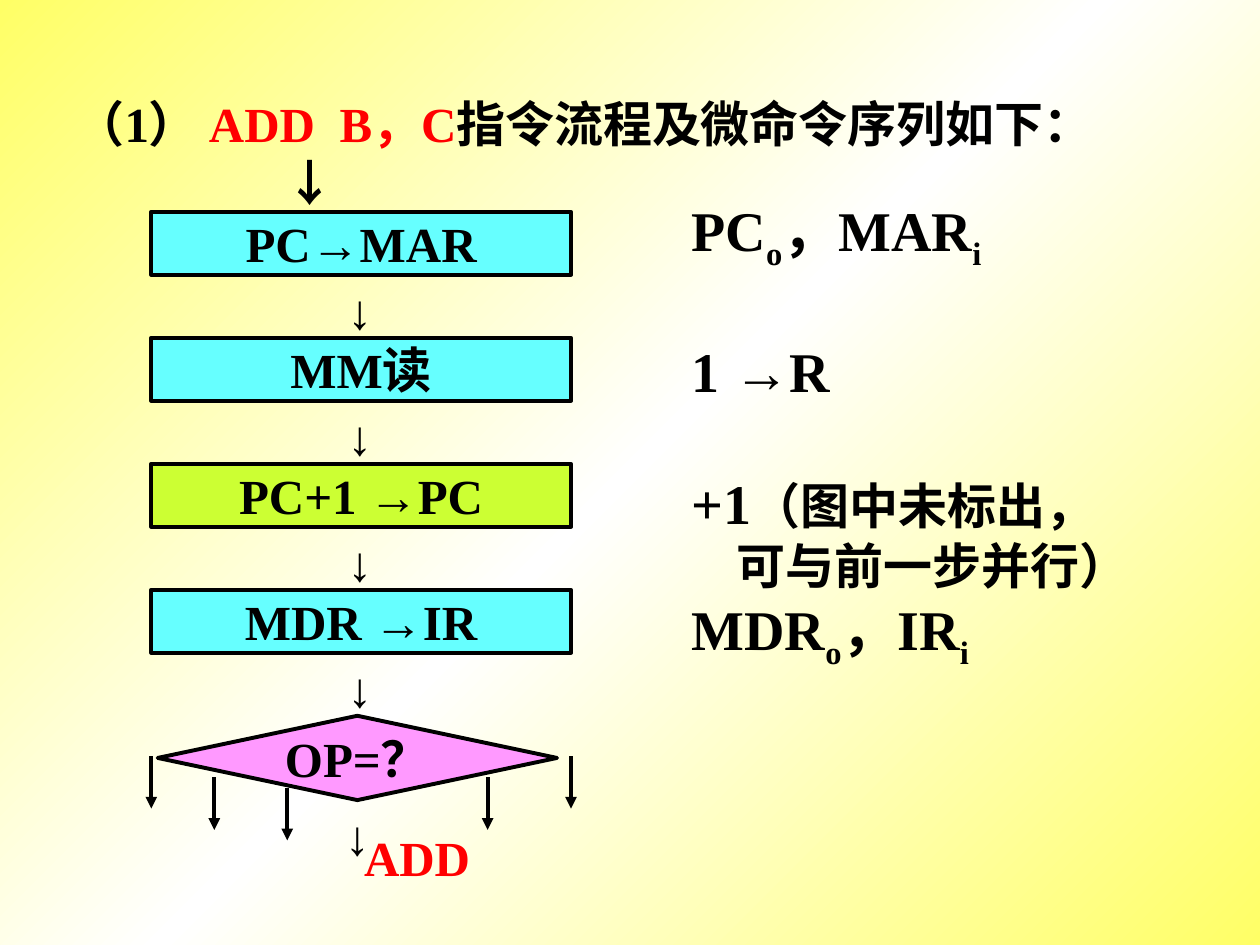
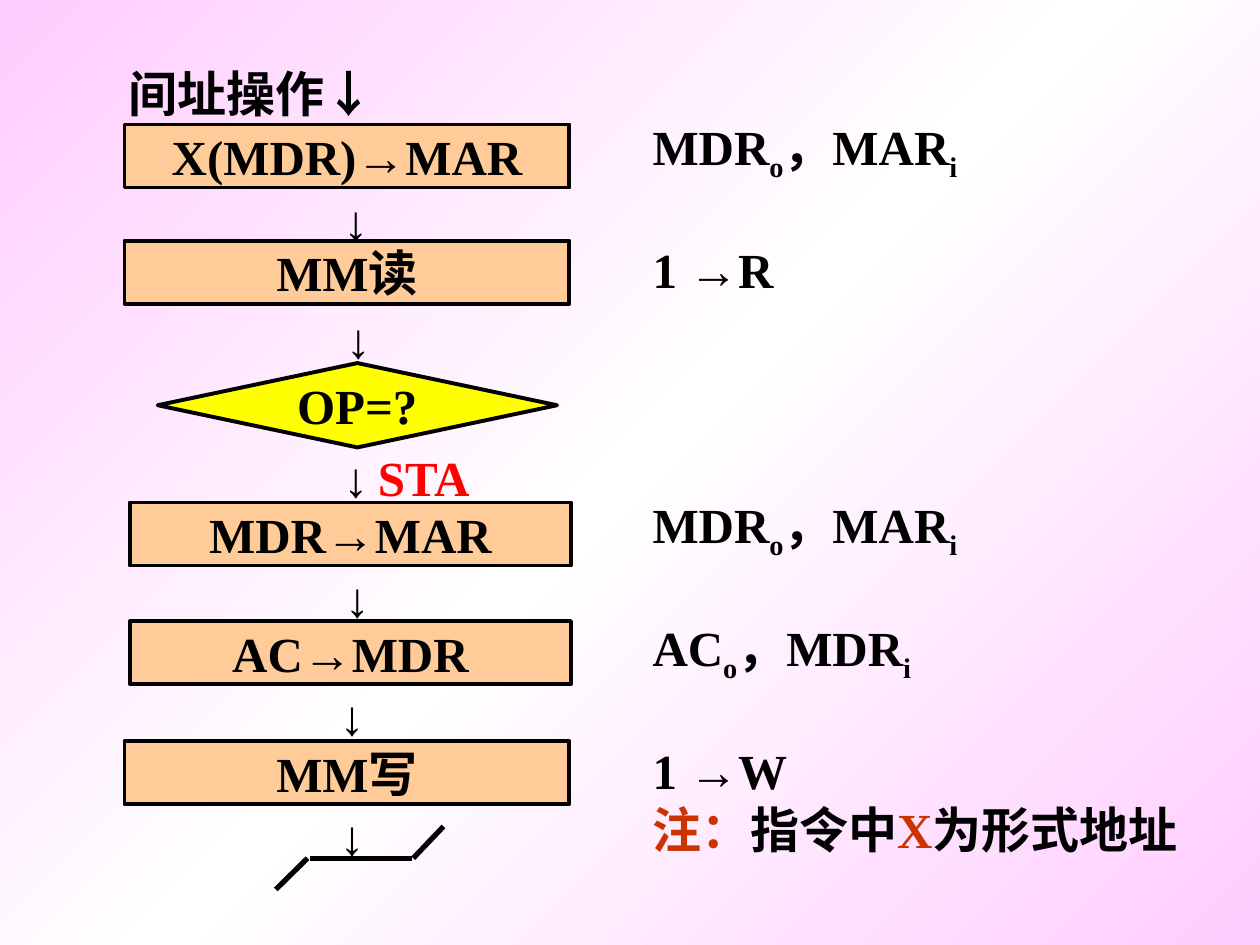
"""Build two flowchart slides on the ADD and STA instruction cycles."""
from copy import deepcopy

from lxml import etree
from pptx import Presentation
from pptx.dml.color import RGBColor
from pptx.enum import shapes, text
from pptx.oxml.ns import qn
from pptx.util import Cm, Pt

COLORS = {
    "ink": "000000", "red": "FF0000", "rust": "CC3300", "white": "FFFFFF",
    "cyan": "66FFFF", "lime": "CCFF33", "pink": "FF99FF",
    "peach": "FFCC99", "yellow": "FFFF00",
    "lemon page": "FFFF66", "rose page": "FFCCFF",
}
RGB = {name: RGBColor.from_string(value) for name, value in COLORS.items()}
PROCESS = shapes.MSO_SHAPE.FLOWCHART_PROCESS
DECISION = shapes.MSO_SHAPE.FLOWCHART_DECISION


def write(frame, lines, size=28, accent="red", align=text.PP_ALIGN.LEFT):
    """Write lines of runs split by |: _ lowers, ! accents, / breaks the line."""
    for number, line in enumerate(lines):
        paragraph = frame.paragraphs[0] if number == 0 else frame.add_paragraph()
        paragraph.alignment = align
        for piece in line.split("|"):
            if piece == "/":
                paragraph.add_line_break()
                continue
            run = paragraph.add_run()
            run.text = piece.lstrip("_!")
            run.font.size = Pt(size)
            run.font.bold = True
            run.font.name = "Arial" if piece.strip() in ("→", "↓") else "Times New Roman"
            run.font.color.rgb = RGB[accent if piece[0] == "!" else "ink"]
            if piece[0] == "_":
                run._r.get_or_add_rPr().set("baseline", "-25000")


def place(slide, box, lines, kind=None, fill=None, size=28):
    """Add a flowchart block, or a plain label when no kind is given."""
    lengths = [Cm(value) for value in box]
    if kind is None:
        block = slide.shapes.add_textbox(*lengths)
        block.text_frame.auto_size = text.MSO_AUTO_SIZE.SHAPE_TO_FIT_TEXT
        align = text.PP_ALIGN.LEFT
    else:
        block = slide.shapes.add_shape(kind, *lengths)
        block.shadow.inherit = False
        block.fill.solid()
        block.fill.fore_color.rgb = RGB[fill]
        block.line.color.rgb = RGB["ink"]
        block.line.width = Pt(2.25)
        block.text_frame.vertical_anchor = text.MSO_ANCHOR.MIDDLE
        align = text.PP_ALIGN.CENTER
    block.text_frame.word_wrap = False
    write(block.text_frame, lines, size, align=align)
    return block.text_frame


prs = Presentation()
prs.slide_width, prs.slide_height = Cm(25.4), Cm(19.05)

pages, headings = [], []
for page_color, heading_box in (
    ("lemon page", (1.27, 1.7, 23.29, 2.74)),
    ("rose page", (12.9, 2.13, 11.51, 15.39)),
):
    slide = prs.slides.add_slide(prs.slide_layouts[5])
    backdrop = slide.background.fill
    backdrop.gradient()
    backdrop.gradient_angle = 135
    stop_list = slide.element.find(".//" + qn("a:gsLst"))
    stop_list.insert(1, deepcopy(stop_list[0]))
    for stop, color, position in zip(
        backdrop.gradient_stops, (page_color, "white", page_color), (0, 0.5, 1)
    ):
        stop.color.rgb = RGB[color]
        stop.position = position
    heading = slide.shapes.title
    heading.left, heading.top, heading.width, heading.height = map(Cm, heading_box)
    heading.text_frame.word_wrap = True
    heading.text_frame.auto_size = text.MSO_AUTO_SIZE.NONE
    heading.text_frame.vertical_anchor = text.MSO_ANCHOR.MIDDLE
    pages.append(slide)
    headings.append(heading.text_frame)
add_page, sta_page = pages
add_heading, sta_signals = headings

write(add_heading, ["（1） |!ADD  B，C|指令流程及微命令序列如下：|/|\t|↓"])
tab_list = etree.SubElement(add_heading.paragraphs[0]._p.get_or_add_pPr(), qn("a:tabLst"))
etree.SubElement(tab_list, qn("a:tab"), pos=str(Cm(4.24)), algn="l")

place(add_page, (3.18, 14.43, 8.05, 1.7), ["OP=？"], DECISION, "pink")
for row, (step, color) in enumerate((
    ("PC|→|MAR", "cyan"), ("MM读", "cyan"), ("PC+1 |→|PC", "lime"), ("MDR |→|IR", "cyan"),
)):
    top = 4.27 + 2.54 * row
    place(add_page, (3.05, top, 8.46, 1.27), [step], PROCESS, color)
    place(add_page, (6.76, top + 1.26, 0.89, 1.45), ["↓"])
place(add_page, (6.71, 16.13, 0.89, 1.45), ["↓"])
place(add_page, (7.09, 16.56, 2.64, 1.45), ["!ADD"])

add_signals = place(add_page, (13.69, 3.81, 9.3, 9.96), [
    "PC|_o|，MAR|_i", "1 |→|R", "+1|（图中未标出，", "可与前一步并行）", "MDR|_o|，IR|_i",
], size=32)
read_signal, increment, parallel_note = add_signals.paragraphs[1:4]
read_signal.space_before = increment.space_before = Pt(37)
for run in (increment.runs[1], parallel_note.runs[0]):
    run.font.size = Pt(28)
parallel_note._p.get_or_add_pPr().set("marL", str(Cm(0.91)))

write(sta_signals, [
    "MDR|_o|，MAR|_i", "1 |→|R", "MDR|_o|，MAR|_i", "AC|_o|，MDR|_i", "1 |→|W",
    "!注：|指令中|!X|为形式地址",
], accent="rust")
for signal, gap in zip(sta_signals.paragraphs[1:], (32, 112, 32, 32, 0)):
    signal.space_before = Pt(gap)

place(sta_page, (2.34, 1.15, 5.45, 1.45), ["间址操作|↓"])
for left, top, width, step in (
    (2.51, 2.51, 8.97, "X(MDR)|→|MAR"),
    (2.51, 4.85, 8.97, "MM读"),
    (2.62, 10.13, 8.89, "MDR|→|MAR"),
    (2.62, 12.52, 8.89, "AC|→|MDR"),
    (2.51, 14.94, 8.97, "MM写"),
):
    place(sta_page, (left, top, width, 1.27), [step], PROCESS, "peach")
place(sta_page, (3.18, 7.32, 8.05, 1.7), ["OP=?"], DECISION, "yellow")
for left, top in (
    (6.68, 3.73), (6.73, 6.12), (6.68, 8.92), (6.71, 11.33), (6.6, 13.72), (6.6, 16.13),
):
    place(sta_page, (left, top, 0.89, 1.45), ["↓"])
place(sta_page, (7.37, 8.89, 2.41, 1.45), ["!STA"])

branches = [
    (add_page, (x, y, x, y + 1.06), 2.25)
    for x, y in ((3.05, 15.24), (4.32, 15.67), (5.79, 15.88), (9.83, 15.67), (11.51, 15.24))
]
exit_mark = [
    (sta_page, ends, 3)
    for ends in ((6.25, 17.3, 8.31, 17.3), (6.2, 17.3, 5.56, 17.93), (8.94, 16.66, 8.33, 17.3))
]
for slide, ends, weight in branches + exit_mark:
    stroke = slide.shapes.add_connector(shapes.MSO_CONNECTOR.STRAIGHT, *map(Cm, ends))
    stroke.line.color.rgb = RGB["ink"]
    stroke.line.width = Pt(weight)
    if slide is add_page:
        etree.SubElement(stroke.line._get_or_add_ln(), qn("a:tailEnd"), type="triangle")
    etree.SubElement(stroke._element.spPr, qn("a:effectLst"))

prs.save("out.pptx")
